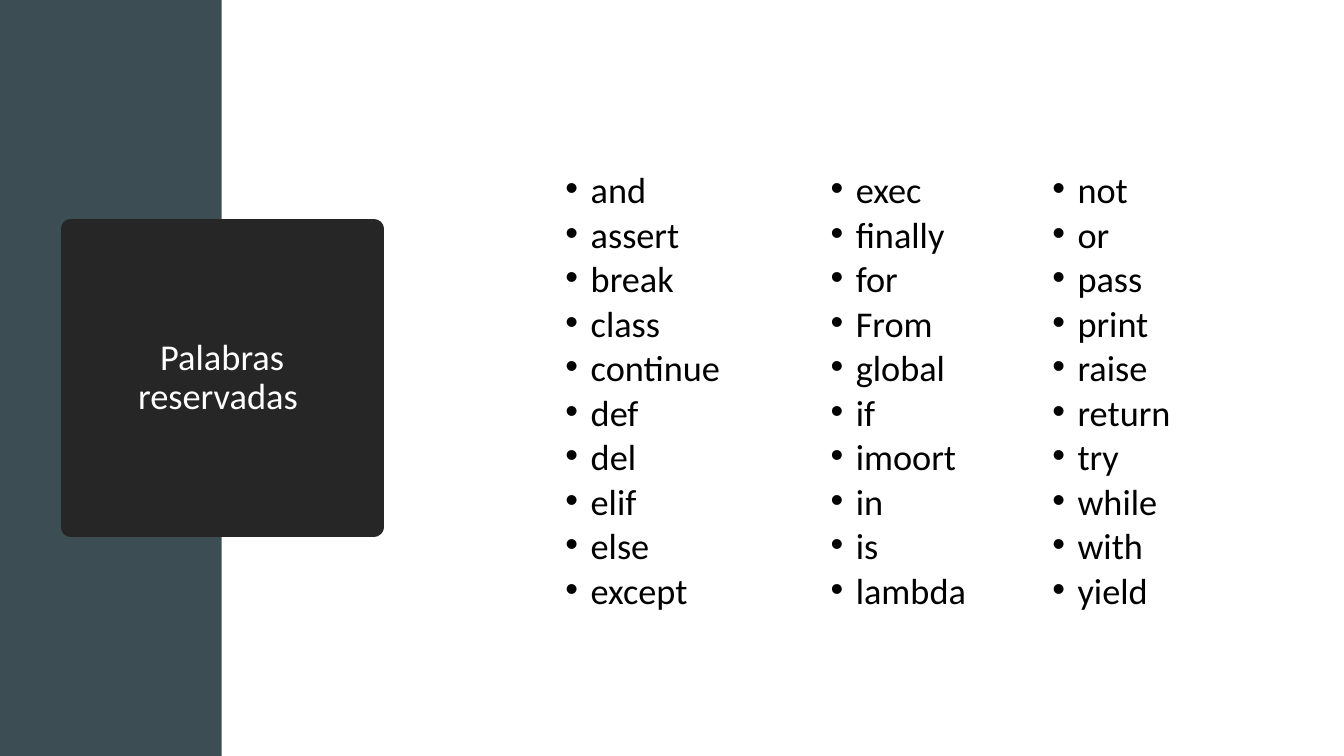
from lxml.etree import SubElement
from pptx import Presentation
from pptx.dml.color import RGBColor
from pptx.enum.shapes import MSO_SHAPE
from pptx.enum.text import MSO_ANCHOR, MSO_AUTO_SIZE, PP_ALIGN
from pptx.oxml.ns import qn
from pptx.util import Inches, Pt

WIDE, HIGH = Inches(13.33), Inches(7.5)
COLS, ROWS = 80, 45
HUES = {"band": "3C4E53", "card": "262626", "light": "FFFFFF", "dark": "000000"}
TITLE = "Palabras reservadas "
LISTS = [
    (33.06, 14.16, "and assert break class continue def del elif else except"),
    (48.84, 15, "exec finally for From global if imoort in is lambda"),
    (62.04, 12.54, "not or pass print raise return try while with yield"),
]
FRAME = {"word_wrap": True, "auto_size": MSO_AUTO_SIZE.NONE}


def style(item, **form):
    """Set each format value on the item."""
    for name, value in form.items():
        setattr(item, name, value)


def hue(name):
    """Return the named colour."""
    return RGBColor.from_string(HUES[name])


def place(shape, col, row, cols, rows):
    """Put the shape on the slide grid."""
    style(shape, left=int(WIDE * col / COLS), top=int(HIGH * row / ROWS),
          width=int(WIDE * cols / COLS), height=int(HIGH * rows / ROWS))


def paint(shape, name):
    """Fill the shape with a solid colour."""
    shape.fill.solid()
    shape.fill.fore_color.rgb = hue(name)


def write(para, text, size, name, **form):
    """Write one formatted paragraph."""
    para.text = text
    style(para, **form)
    style(para.font, name="Calibri", size=Pt(size), bold=False)
    para.font.color.rgb = hue(name)


def dot(para):
    """Give the paragraph a hanging bullet."""
    props = para._p.get_or_add_pPr()
    props.set("marL", str(Inches(0.25)))
    props.set("indent", str(-Inches(0.25)))
    SubElement(props, qn("a:buFont"), typeface="Arial")
    SubElement(props, qn("a:buChar"), char="•")


def add_band(slide):
    """Add the side band behind the title."""
    band = slide.shapes.add_shape(MSO_SHAPE.RECTANGLE, 0, 0, 0, 0)
    place(band, 0, 0, 13.2, ROWS)
    paint(band, "band")
    band.line.fill.background()
    band.shadow.inherit = False
    slide.shapes._spTree.insert(2, band._element)


def add_title(card):
    """Turn the title placeholder into a dark card."""
    place(card, 4.2, 13.62, 18.06, 17.76)
    paint(card, "card")
    paint(card.line, "card")
    card.line.width = Pt(13.75)
    frame = card.text_frame
    style(frame, **FRAME, vertical_anchor=MSO_ANCHOR.MIDDLE,
          margin_left=Inches(0.44), margin_right=Inches(0.44))
    write(frame.paragraphs[0], TITLE, 26, "light",
          alignment=PP_ALIGN.CENTER, line_spacing=0.9)


def add_list(box, col, cols, words):
    """Fill a body placeholder with bulleted words."""
    place(box, col, 10.38, cols, 28.56)
    frame = box.text_frame
    style(frame, **FRAME, vertical_anchor=MSO_ANCHOR.TOP)
    for rank, word in enumerate(words.split()):
        para = frame.add_paragraph() if rank else frame.paragraphs[0]
        dot(para)
        write(para, word, 25.9, "dark", alignment=PP_ALIGN.LEFT,
              line_spacing=0.7, space_before=Pt(10 if rank else 0))


def main():
    """Build and save the slide."""
    deck = Presentation()
    style(deck, slide_width=WIDE, slide_height=HIGH)
    slide = deck.slides.add_slide(deck.slide_layouts.get_by_name("Comparison"))
    title, *boxes = slide.placeholders
    add_band(slide)
    add_title(title)
    for box, (col, cols, words) in zip(boxes, LISTS):
        add_list(box, col, cols, words)
    for spare in boxes[len(LISTS):]:
        slide.shapes._spTree.remove(spare._element)
    deck.save("out.pptx")


if __name__ == "__main__":
    main()
